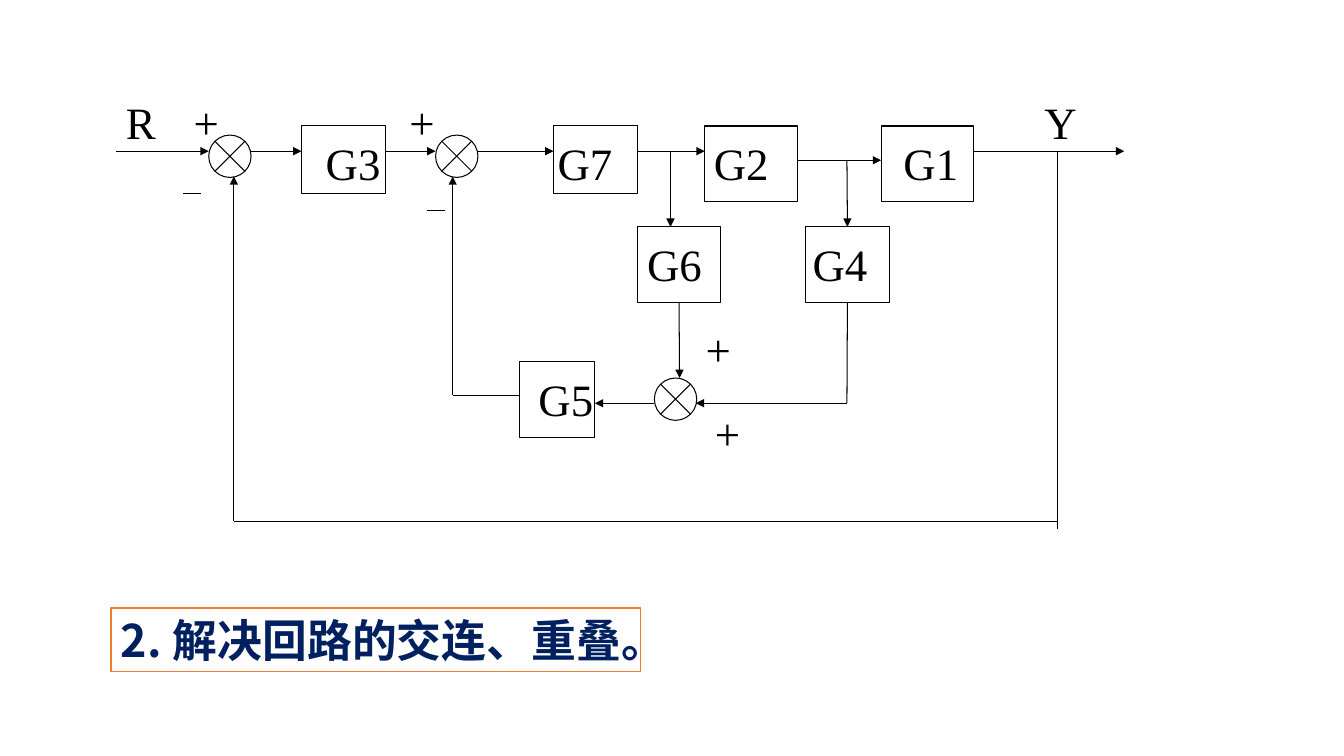
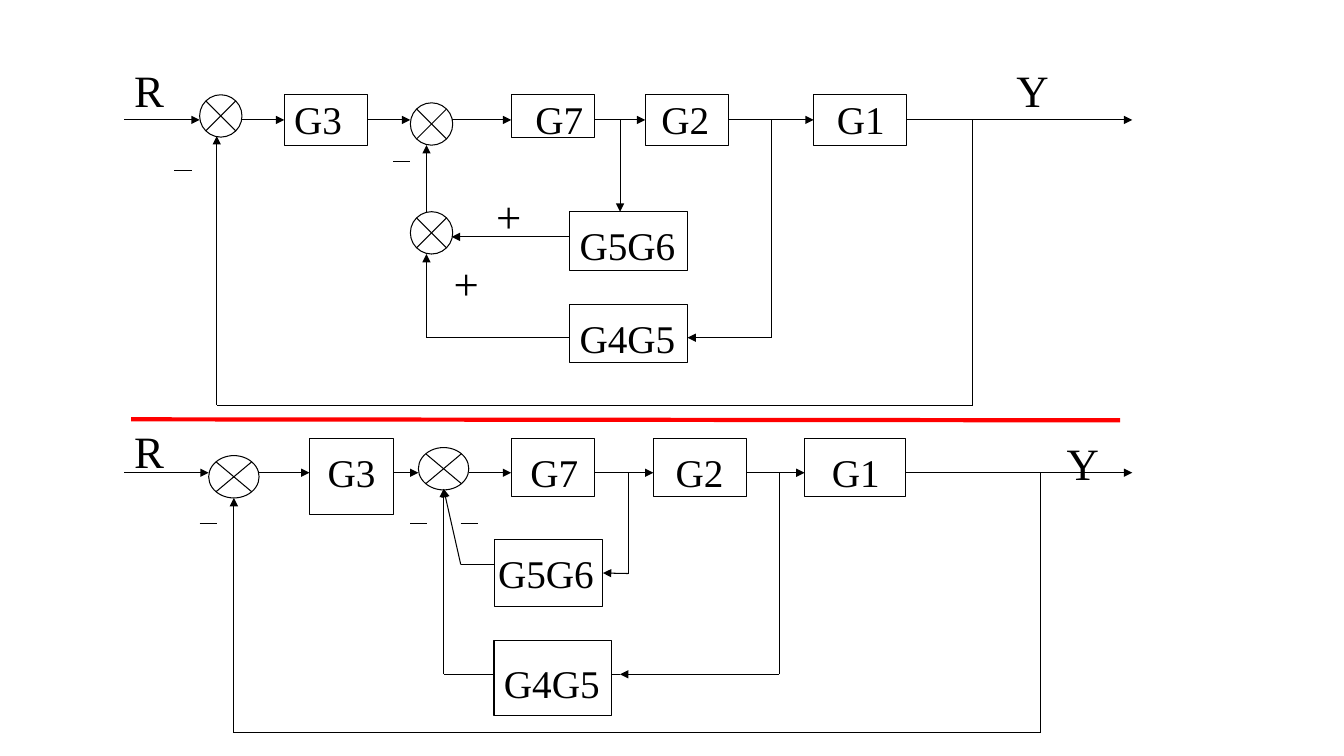
from itertools import pairwise

from pptx import Presentation
from pptx.dml.color import RGBColor
from pptx.enum.shapes import MSO_CONNECTOR, MSO_SHAPE
from pptx.enum.text import MSO_ANCHOR as ANCHOR, MSO_AUTO_SIZE, PP_ALIGN as ALIGN
from pptx.oxml.ns import qn
from pptx.util import Inches, Pt
from lxml.etree import SubElement

BLACK = RGBColor(0x00, 0x00, 0x00)
WHITE = RGBColor(0xFF, 0xFF, 0xFF)
RED = RGBColor(0xFF, 0x00, 0x00)
ORANGE = RGBColor(0xED, 0x7D, 0x31)
NAVY = RGBColor(0x00, 0x20, 0x60)
SERIF = "Times New Roman"
HEI = "Noto Sans CJK SC"
LABEL_SIZE = 32
MINUS = 0.17
SUM = 0.42
SNAP = Inches(0.02)


def set_text(shape, text, size, left=0, top=0):
    """Write left-aligned text starting at the given inset from the top left corner."""
    tf = shape.text_frame
    tf.text = text
    tf.word_wrap = True
    tf.vertical_anchor = ANCHOR.TOP
    tf.margin_left, tf.margin_top = Inches(left), Inches(top)
    tf.margin_right = tf.margin_bottom = 0
    p = tf.paragraphs[0]
    p.alignment = ALIGN.LEFT
    font = p.runs[0].font
    font.name, font.size, font.color.rgb = SERIF, Pt(size), BLACK


def add_outline(s, kind, x, y, w, h):
    sp = s.shapes.add_shape(kind, Inches(x), Inches(y), Inches(w), Inches(h))
    sp.shadow.inherit = False
    sp.fill.background()
    sp.line.color.rgb = BLACK
    sp.line.width = Pt(0.75)
    return sp


def add_block(s, size, text, x, y, w, h, left, top=0.1):
    sp = add_outline(s, MSO_SHAPE.RECTANGLE, x, y, w, h)
    set_text(sp, text, size, left, top)
    return sp


def add_sum(s, x, y, w=SUM):
    add_outline(s, MSO_SHAPE.FLOWCHART_SUMMING_JUNCTION, x, y, w, SUM)


def add_label(s, text, x, y):
    set_text(s.shapes.add_textbox(Inches(x), Inches(y), Inches(0.5), Inches(0.52)),
             text, LABEL_SIZE)


def add_line(s, start, end, arrow=False, color=BLACK, width=0.75):
    ends = [Inches(v) for v in (*start, *end)]
    line = s.shapes.add_connector(MSO_CONNECTOR.STRAIGHT, *ends)
    line.line.color.rgb = color
    line.line.width = Pt(width)
    if arrow:
        SubElement(line.line._get_or_add_ln(), qn("a:tailEnd"), type="triangle")
    SubElement(line._element.spPr, qn("a:effectLst"))
    return line


def join(connect, point, blocks):
    """Join a line end to the block whose side has its middle at the point."""
    x, y = (Inches(v) for v in point)
    for b in blocks:
        mid_x, mid_y = b.left + b.width // 2, b.top + b.height // 2
        sides = ((mid_x, b.top), (b.left, mid_y),
                 (mid_x, b.top + b.height), (b.left + b.width, mid_y))
        for site, (side_x, side_y) in enumerate(sides):
            if abs(side_x - x) <= SNAP and abs(side_y - y) <= SNAP:
                connect(b, site)
                return


def add_wire(s, blocks, points):
    """Draw a signal path through the points, with an arrow at its end."""
    for start, end in pairwise(points):
        line = add_line(s, start, end, arrow=end == points[-1])
        join(line.begin_connect, start, blocks)
        join(line.end_connect, end, blocks)


def add_diagram(s, size, blocks, sums, row_y, row, wires, minuses, labels):
    """Draw a block diagram; row lists the x spans of the arrows at height row_y."""
    shapes = [add_block(s, size, *b) for b in blocks]
    for junction in sums:
        add_sum(s, *junction)
    for x1, x2 in row:
        add_wire(s, shapes, [(x1, row_y), (x2, row_y)])
    for points in wires:
        add_wire(s, shapes, points)
    for x, y in minuses:
        add_line(s, (x, y), (x + MINUS, y))
    for label in labels:
        add_label(s, *label)


def add_caption(s, text):
    title = s.shapes.title
    title.left, title.top = Inches(1.1), Inches(6.03)
    title.width, title.height = Inches(5.25), Inches(0.63)
    title.fill.solid()
    title.fill.fore_color.rgb = WHITE
    title.line.color.rgb = ORANGE
    title.line.width = Pt(1)
    tf = title.text_frame
    tf.text = text
    tf.word_wrap = True
    tf.auto_size = MSO_AUTO_SIZE.NONE
    tf.vertical_anchor = ANCHOR.MIDDLE
    p = tf.paragraphs[0]
    p.alignment = ALIGN.LEFT
    r = p.runs[0]
    r.font.name, r.font.size, r.font.bold = HEI, Pt(32), True
    r.font.color.rgb = NAVY
    SubElement(r.font._element, qn("a:ea"), typeface=HEI)


def build_crossed_loops(prs):
    s = prs.slides.add_slide(prs.slide_layouts[5])
    add_diagram(
        s, 32,
        blocks=[("G3", 2.99, 1.25, 0.83, 0.67, 0.24), ("G7", 5.49, 1.25, 0.83, 0.67, 0.04),
                ("G2", 6.99, 1.25, 0.92, 0.75, 0.09), ("G1", 8.74, 1.25, 0.92, 0.75, 0.22),
                ("G6", 6.32, 2.25, 0.83, 0.75, 0.1), ("G4", 7.99, 2.25, 0.83, 0.75, 0.07),
                ("G5", 5.15, 3.59, 0.75, 0.75, 0.19)],
        sums=[(2.07, 1.34), (4.32, 1.34), (6.49, 3.75)],
        row_y=1.5,
        row=[(1.15, 2.07), (2.49, 2.99), (3.82, 4.32), (4.74, 5.49), (6.32, 6.99),
             (9.65, 11.15)],
        wires=[[(7.9, 1.59), (8.74, 1.59)],
               [(6.65, 1.5), (6.65, 2.25)],
               [(6.74, 3), (6.74, 3.75)],
               [(8.4, 1.59), (8.4, 2.25)],
               [(8.4, 3), (8.4, 4), (6.9, 4)],
               [(6.49, 4), (5.9, 4)],
               [(5.15, 3.92), (4.49, 3.92), (4.49, 1.75)],
               [(10.49, 5.17), (2.32, 5.17), (2.32, 1.75)]],
        minuses=[(4.24, 2.09), (1.82, 1.92)],
        labels=[("R", 1.25, 0.94), ("+", 1.92, 0.94), ("+", 4.06, 0.94),
                ("Y", 10.36, 0.94), ("+", 7, 3.19), ("+", 7.09, 4.02)])
    add_line(s, (10.49, 1.5), (10.49, 5.25))
    add_caption(s, "2.解决回路的交连、重叠。")


def build_separated_loops(prs):
    s = prs.slides.add_slide(prs.slide_layouts[6])
    add_diagram(
        s, 28,
        blocks=[("G3", 2.82, 0.94, 0.83, 0.5, 0.1, 0.01), ("G7", 5.07, 0.94, 0.83, 0.42, 0.24, 0.01),
                ("G2", 6.4, 0.94, 0.83, 0.5, 0.16, 0.01), ("G1", 8.07, 0.94, 0.92, 0.5, 0.23, 0.01),
                ("G5G6", 5.65, 2.1, 1.17, 0.58, 0.1), ("G4G5", 5.65, 3.02, 1.17, 0.58, 0.1)],
        sums=[(1.98, 0.94), (4.07, 1.02), (4.07, 2.1)],
        row_y=1.19,
        row=[(1.23, 1.98), (2.4, 2.82), (3.65, 4.07), (4.48, 5.07), (5.9, 6.4),
             (7.23, 8.07), (8.98, 11.23)],
        wires=[[(6.15, 1.19), (6.15, 2.1)],
               [(7.65, 1.19), (7.65, 3.35), (6.82, 3.35)],
               [(5.65, 2.35), (4.48, 2.35)],
               [(5.65, 3.35), (4.23, 3.35), (4.23, 2.52)],
               [(4.23, 2.1), (4.23, 1.44)],
               [(9.65, 1.19), (9.65, 4.02), (2.15, 4.02), (2.15, 1.35)]],
        minuses=[(3.9, 1.6), (1.73, 1.69)],
        labels=[("R", 1.33, 0.62), ("Y", 10.08, 0.62), ("+", 4.92, 1.87), ("+", 4.5, 2.54)])
    add_diagram(
        s, 28,
        blocks=[("G3", 3.07, 4.35, 0.83, 0.75, 0.18), ("G7", 5.07, 4.35, 0.83, 0.58, 0.19),
                ("G2", 6.48, 4.35, 0.92, 0.58, 0.22), ("G1", 7.98, 4.35, 1, 0.58, 0.27),
                ("G5G6", 4.9, 5.35, 1.08, 0.67, 0.04),
                ("G4G5", 4.9, 6.35, 1.17, 0.75, 0.1, 0.19)],
        sums=[(2.07, 4.52, 0.5), (4.15, 4.44, 0.5)],
        row_y=4.69,
        row=[(1.23, 2.07), (2.57, 3.07), (3.9, 4.15), (4.65, 5.07), (5.9, 6.48),
             (7.4, 7.98), (8.98, 11.23)],
        wires=[[(6.23, 4.69), (6.23, 5.69), (5.98, 5.69)],
               [(4.9, 5.6), (4.57, 5.6), (4.4, 4.85)],
               [(7.73, 4.69), (7.73, 6.69), (6.15, 6.69)],
               [(4.9, 6.69), (4.4, 6.69), (4.4, 4.85)],
               [(10.32, 4.69), (10.32, 7.27), (2.32, 7.27), (2.32, 4.94)]],
        minuses=[(4.07, 5.19), (4.57, 5.19), (1.98, 5.19)],
        labels=[("R", 1.33, 4.2), ("Y", 10.58, 4.32)])
    add_line(s, (6.15, 6.69), (6.07, 6.69))
    add_line(s, (1.3, 4.16), (11.11, 4.17), color=RED, width=3)


def main():
    prs = Presentation()
    prs.slide_width, prs.slide_height = Inches(13.33), Inches(7.5)
    build_crossed_loops(prs)
    build_separated_loops(prs)
    prs.save("out.pptx")


if __name__ == "__main__":
    main()
